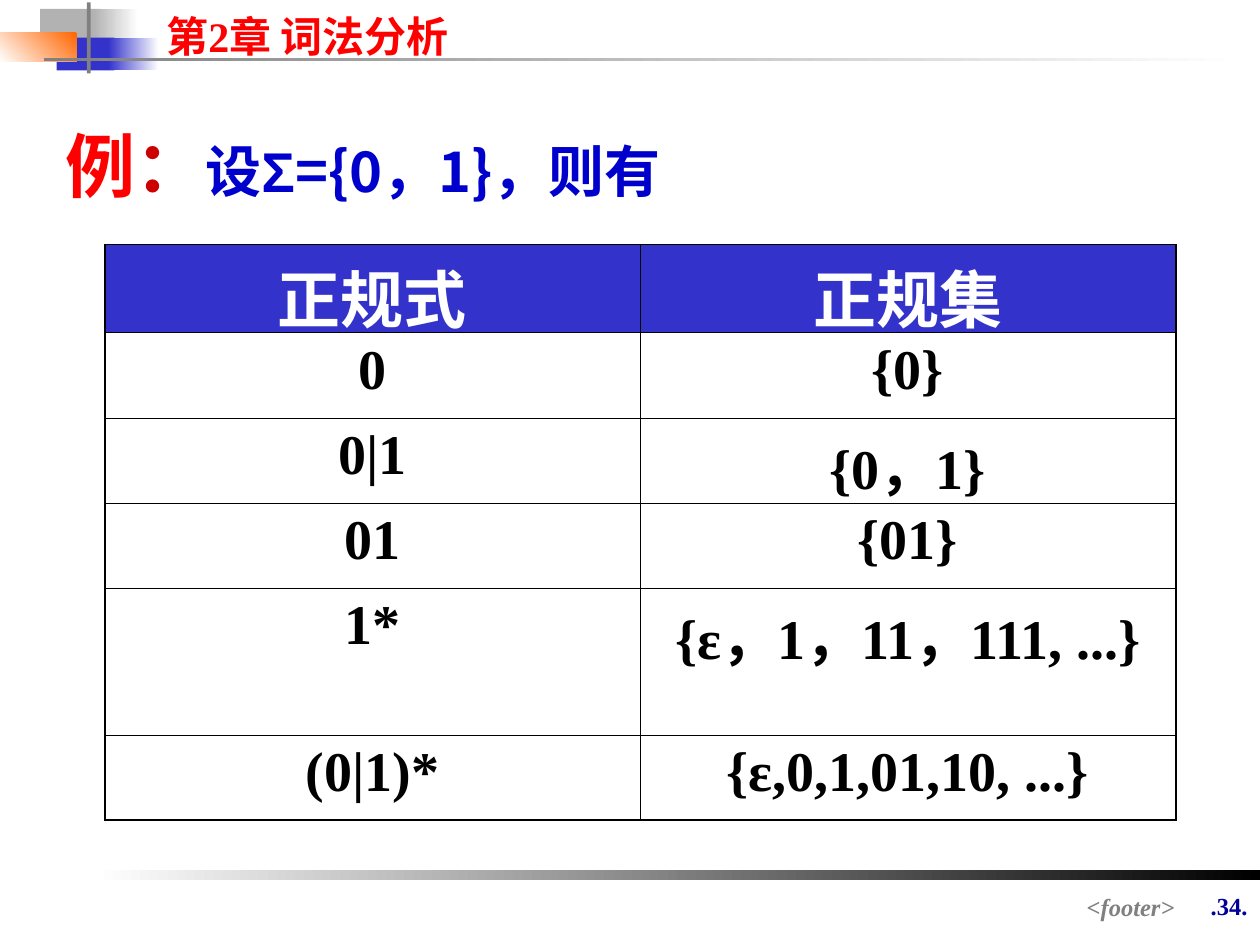
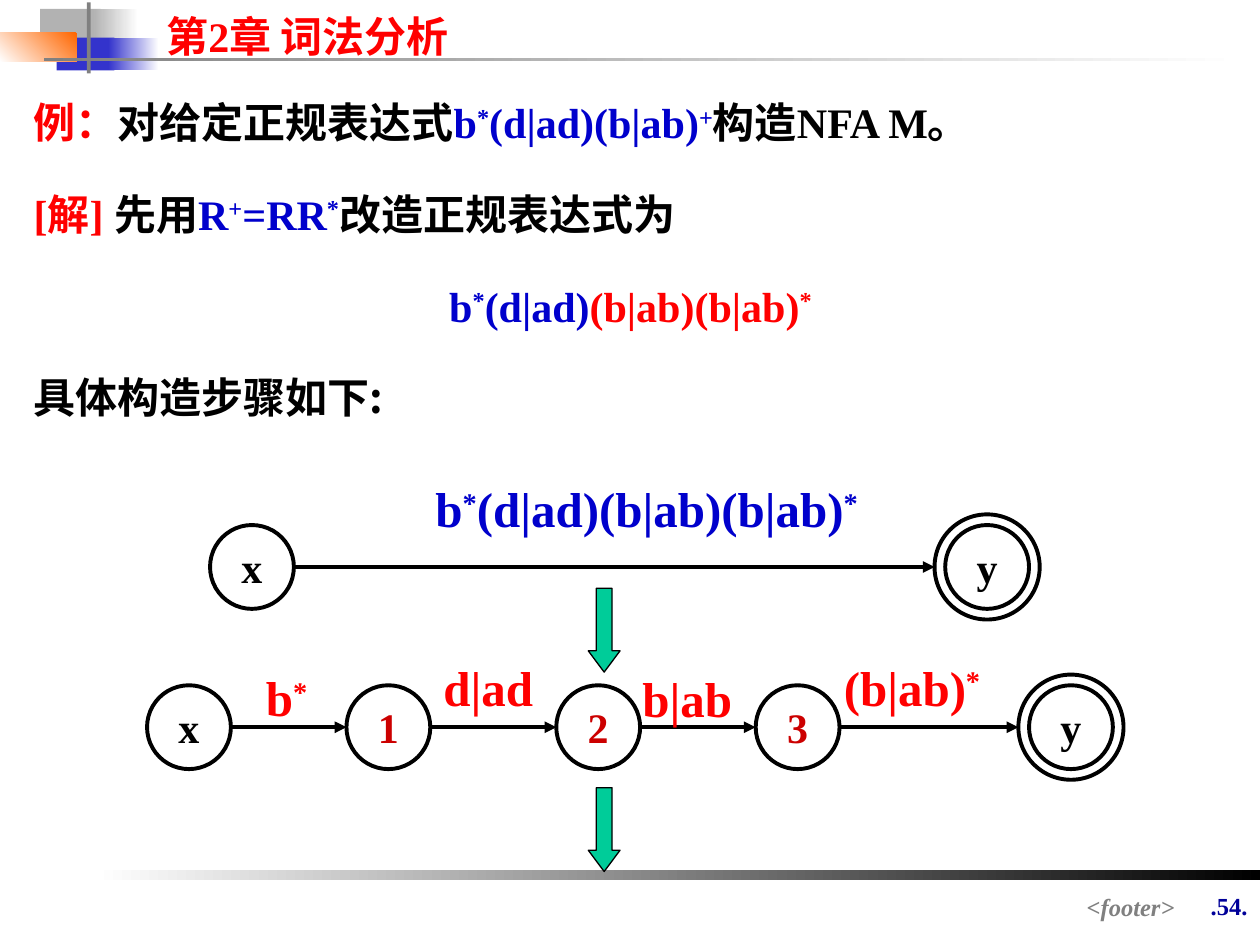
import dataclasses
import itertools

import lxml.etree
import pptx
import pptx.dml.color
import pptx.enum.shapes
import pptx.enum.text
import pptx.oxml.ns
import pptx.util

Cm = pptx.util.Cm
Pt = pptx.util.Pt
qn = pptx.oxml.ns.qn
Align = pptx.enum.text.PP_ALIGN
Anchor = pptx.enum.text.MSO_ANCHOR
Preset = pptx.enum.shapes.MSO_SHAPE


@dataclasses.dataclass(frozen=True)
class Theme:
    black: str = "000000"
    white: str = "FFFFFF"
    red: str = "FF0000"
    dark_red: str = "CC0000"
    blue: str = "0000CC"
    navy: str = "000099"
    band_blue: str = "3333CC"
    orange: str = "FF6600"
    grey: str = "808080"
    light_grey: str = "B2B2B2"
    green: str = "00CC99"
    serif: str = "Times New Roman"
    sans: str = "Arial"
    chinese: str = "Noto Sans CJK SC"
    small: int = 14
    body: int = 24
    formula: int = 28
    large: int = 32
    header: int = 36
    huge: int = 40


THEME = Theme()


@dataclasses.dataclass(frozen=True)
class Box:
    left: float
    top: float
    width: float
    height: float

    def inner(self, left, top, width, height):
        return Box(self.left + left, self.top + top, width, height)

    def lengths(self):
        return [Cm(value) for value in (self.left, self.top, self.width, self.height)]


def rgb(color):
    return pptx.dml.color.RGBColor.from_string(color)


def set_values(target, values):
    for name, value in values.items():
        setattr(target, name, value)


def piece(text, color=THEME.black, size=THEME.body, font=THEME.serif, **extra):
    return {"text": text, "color": color, "size": size, "font": font, **extra}


def formula(text, color, size=THEME.body):
    groups = itertools.groupby(text, lambda letter: letter in "*+")
    return [piece("".join(letters), color, size, raised=raised) for raised, letters in groups]


def write_paragraph(paragraph, pieces, **values):
    set_values(paragraph, values)
    for part in pieces:
        run = paragraph.add_run()
        run.text = part["text"]
        set_values(run.font, {"name": part["font"], "size": Pt(part["size"]),
                              "bold": True, "italic": part.get("italic", False)})
        run.font.color.rgb = rgb(part["color"])
        properties = run._r.get_or_add_rPr()
        lxml.etree.SubElement(properties, qn("a:ea"), typeface=THEME.chinese)
        if part.get("raised"):
            properties.set("baseline", "30000")


def add_text(slide, box, pieces, wrap=True, **values):
    frame = slide.shapes.add_textbox(*box.lengths()).text_frame
    frame.word_wrap = wrap
    write_paragraph(frame.paragraphs[0], pieces, **values)
    return frame


def add_shape(slide, preset, box, fill=None, line_width=None):
    shape = slide.shapes.add_shape(preset, *box.lengths())
    shape.shadow.inherit = False
    if fill:
        shape.fill.solid()
        shape.fill.fore_color.rgb = rgb(fill)
    else:
        shape.fill.background()
    if line_width:
        shape.line.color.rgb = rgb(THEME.black)
        shape.line.width = Pt(line_width)
    else:
        shape.line.fill.background()
    return shape


def add_fade(slide, box, start, end, angle=180):
    shape = add_shape(slide, Preset.RECTANGLE, box)
    shape.fill.gradient()
    shape.fill.gradient_angle = angle
    for stop, color in zip(shape.fill.gradient_stops, (start, end)):
        stop.color.rgb = rgb(color)


def draw_chapter_band(slide, box):
    add_shape(slide, Preset.RECTANGLE, box.inner(0.81, 0.18, 1.22, 0.66), THEME.light_grey)
    add_fade(slide, box.inner(1.88, 0.18, 0.91, 0.66), THEME.white, THEME.light_grey)
    add_shape(slide, Preset.RECTANGLE, box.inner(1.14, 0.76, 1.17, 0.66), THEME.band_blue)
    add_fade(slide, box.inner(2.18, 0.76, 1.02, 0.66), THEME.white, THEME.band_blue)
    add_fade(slide, box.inner(0, 0.66, 1.55, 0.58), THEME.orange, THEME.white, 225)
    add_shape(slide, Preset.RECTANGLE, box.inner(1.75, 0.05, 0.08, 1.43), THEME.grey)
    add_fade(slide, box.inner(0.89, 1.17, 24.16, 0.06), THEME.white, THEME.grey)
    title = slide.shapes.title
    title_box = box.inner(3.1, 0.08, 8, 1.27)
    set_values(title, dict(zip(("left", "top", "width", "height"), title_box.lengths())))
    set_values(title.text_frame, {
        "vertical_anchor": Anchor.TOP, "word_wrap": True,
        "auto_size": pptx.enum.text.MSO_AUTO_SIZE.NONE})
    write_paragraph(title.text_frame.paragraphs[0], [piece("第2章 词法分析", THEME.red)],
                    alignment=Align.LEFT)


def draw_footer(slide, box, number):
    add_fade(slide, box.inner(1.91, 0, 23.49, 0.21), THEME.black, THEME.white)
    add_text(slide, box.inner(23.7, 0.3, 1.7, 1.45),
             [piece(f".{number}.", THEME.navy, THEME.small)], alignment=Align.RIGHT)
    add_text(slide, box.inner(6.71, 0.33, 17.22, 0.66),
             [piece("<footer>", THEME.grey, THEME.small, italic=True)], alignment=Align.RIGHT)


def start_slide(presentation, number):
    slide = presentation.slides.add_slide(presentation.slide_layouts[5])
    draw_chapter_band(slide, Box(0, 0, 25.4, 1.5))
    draw_footer(slide, Box(0, 17.53, 25.4, 1.52), number)
    return slide


def set_borders(cell, widths):
    properties = cell._tc.get_or_add_tcPr()
    for side, width in zip("LRTB", widths):
        line = lxml.etree.SubElement(properties, qn(f"a:ln{side}"), w=str(Pt(width)))
        fill = lxml.etree.SubElement(line, qn("a:solidFill"))
        lxml.etree.SubElement(fill, qn("a:srgbClr"), val=THEME.black)


def draw_set_table(slide, box, rows, heights):
    last_row, last_column = len(rows) - 1, len(rows[0]) - 1
    table = slide.shapes.add_table(len(rows), len(rows[0]), *box.lengths()).table
    set_values(table, {"first_row": False, "horz_banding": False})
    for column in table.columns:
        column.width = Cm(box.width / len(rows[0]))
    for row_index, (texts, height) in enumerate(zip(rows, heights)):
        table.rows[row_index].height = Cm(height)
        fill, color, size = ((THEME.white, THEME.black, THEME.large) if row_index
                             else (THEME.band_blue, THEME.white, THEME.header))
        for column_index, text in enumerate(texts):
            cell = table.cell(row_index, column_index)
            outer = (column_index == 0, column_index == last_column,
                     row_index == 0, row_index == last_row)
            set_borders(cell, [1.08 if edge else 0.45 for edge in outer])
            cell.fill.solid()
            cell.fill.fore_color.rgb = rgb(fill)
            write_paragraph(cell.text_frame.paragraphs[0], [piece(text, color, size)],
                            alignment=Align.CENTER)


def draw_derivation(slide, box):
    lines = [
        [piece("例：", THEME.red), piece("对给定正规表达式"),
         *formula("b*(d|ad)(b|ab)+", THEME.blue), piece("构造NFA M。")],
        [piece("[解] ", THEME.red), piece("先用"),
         *formula("R+=RR*", THEME.blue), piece("改造正规表达式为")],
        [*formula("b*(d|ad)", THEME.blue), *formula("(b|ab)(b|ab)*", THEME.red)],
        [piece("具体构造步骤如下:", font=THEME.chinese)],
    ]
    alignments = [Align.LEFT, Align.LEFT, Align.CENTER, Align.LEFT]
    frame = add_text(slide, box, lines[0], line_spacing=1.3)
    for pieces, alignment in zip(lines[1:], alignments[1:]):
        write_paragraph(frame.add_paragraph(), pieces, alignment=alignment,
                        line_spacing=1.3, space_before=Pt(15))


def add_transition(slide, start, end, height):
    connector = slide.shapes.add_connector(
        pptx.enum.shapes.MSO_CONNECTOR.STRAIGHT, Cm(start), Cm(height), Cm(end), Cm(height))
    connector.line.color.rgb = rgb(THEME.black)
    connector.line.width = Pt(2.25)
    lxml.etree.SubElement(connector.line._get_or_add_ln(), qn("a:tailEnd"), type="triangle")
    lxml.etree.SubElement(connector._element.spPr, qn("a:effectLst"))


def draw_automaton(slide, box, states, centers):
    state_size, ring_size = 1.69, 2.12
    middle = box.height / 2

    def circle(center, size):
        place = box.inner(center - size / 2, middle - size / 2, size, size)
        return add_shape(slide, Preset.OVAL, place, line_width=2.25)

    for name, center in zip(states, centers):
        frame = circle(center, state_size).text_frame
        set_values(frame, {"word_wrap": False, "vertical_anchor": Anchor.MIDDLE})
        color = THEME.dark_red if name.isdigit() else THEME.black
        write_paragraph(frame.paragraphs[0], [piece(name, color)], alignment=Align.CENTER)
    circle(centers[-1], ring_size)
    for start, end in itertools.pairwise(centers):
        end_size = ring_size if end == centers[-1] else state_size
        add_transition(slide, box.left + start + state_size / 2,
                       box.left + end - end_size / 2, box.top + middle)


def draw_construction(slide, box):
    whole = box.inner(1.27, 0.84, 16.73, 2.12)
    draw_automaton(slide, whole, "xy", [0.85, 15.67])
    add_text(slide, box.inner(3.19, 0, 13.77, 1.45),
             formula("b*(d|ad)(b|ab)(b|ab)*", THEME.blue, THEME.formula),
             alignment=Align.CENTER)
    split = box.inner(0, 4.07, 19.69, 2.12)
    draw_automaton(slide, split, "x123y", [0.85, 4.87, 9.1, 13.12, 18.63])
    labels = [("b*", 2.15, -0.26, 1.35), ("d|ad", 5.73, -0.47, 2.31),
              ("b|ab", 9.74, -0.24, 2.31), ("(b|ab)*", 13.8, -0.47, 3.25)]
    for text, left, top, width in labels:
        add_text(slide, split.inner(left, top, width, 1.45),
                 formula(text, THEME.red, THEME.formula), wrap=False)
    for top in (2.33, 6.35):
        arrow = add_shape(slide, Preset.DOWN_ARROW, box.inner(8.9, top, 0.64, 1.69),
                          THEME.green, 0.75)
        arrow.adjustments[0] = 0.5
        arrow.adjustments[1] = 0.67


def build_regular_sets(presentation):
    slide = start_slide(presentation, 34)
    rows = [("正规式", "正规集"), ("0", "{0}"), ("0|1", "{0，1}"), ("01", "{01}"),
            ("1*", "{ε，1，11，111, ...}"), ("(0|1)*", "{ε,0,1,01,10, ...}")]
    draw_set_table(slide, Box(2.11, 4.93, 21.59, 11.15), rows,
                   [1.57, 1.72, 1.71, 1.72, 2.72, 1.71])
    add_text(slide, Box(1.07, 2.34, 14.6, 1.96), [
        piece("例", THEME.red, THEME.huge, THEME.chinese),
        piece("：", THEME.dark_red, THEME.huge, THEME.chinese),
        piece("设", THEME.blue, THEME.large, THEME.chinese),
        piece("Σ", THEME.blue, THEME.large, THEME.sans),
        piece("={0，1}，则有", THEME.blue, THEME.large, THEME.chinese)])


def build_nfa_steps(presentation):
    slide = start_slide(presentation, 54)
    draw_derivation(slide, Box(0.43, 1.52, 24.56, 7.14))
    draw_construction(slide, Box(2.96, 9.53, 19.69, 8.04))


def main():
    presentation = pptx.Presentation()
    set_values(presentation, {"slide_width": Cm(25.4), "slide_height": Cm(19.05)})
    build_regular_sets(presentation)
    build_nfa_steps(presentation)
    presentation.save("out.pptx")


if __name__ == "__main__":
    main()
